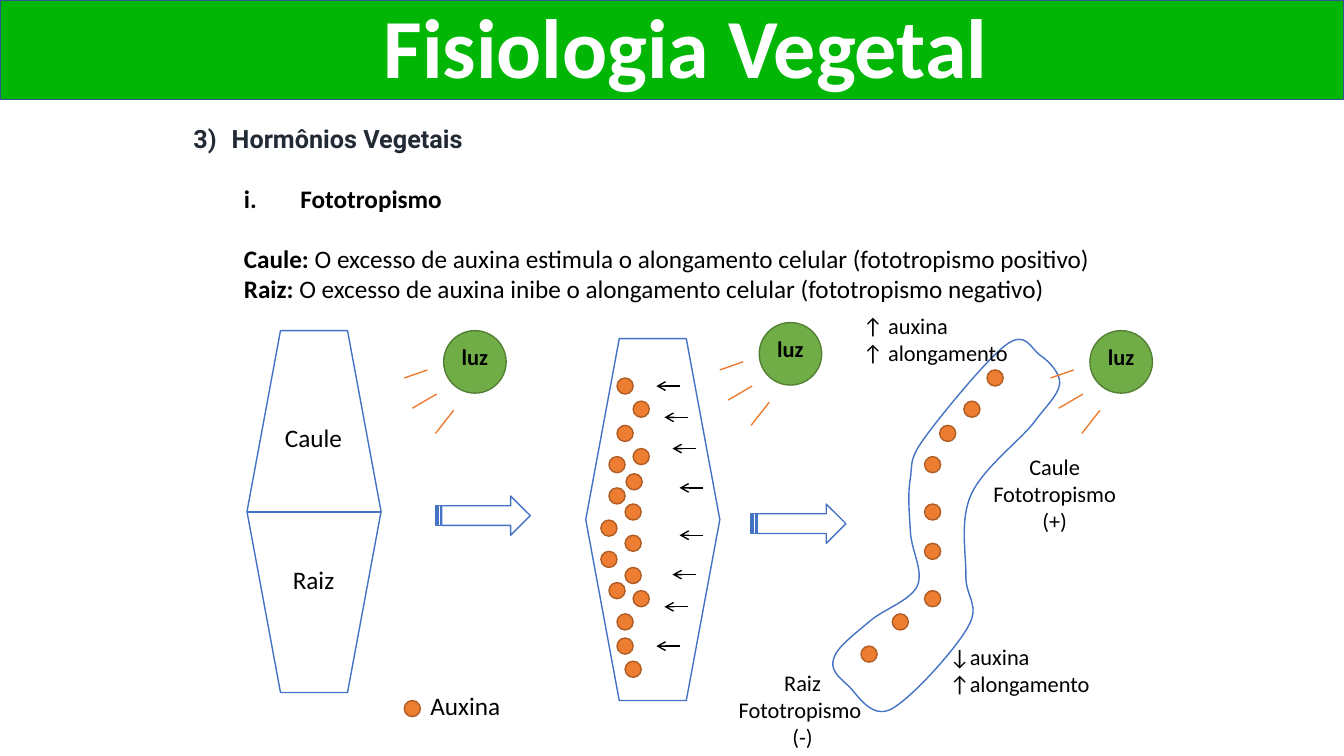
from dataclasses import dataclass

from lxml.etree import SubElement
from pptx import Presentation
from pptx.dml.color import RGBColor
from pptx.enum.shapes import MSO_CONNECTOR, MSO_SHAPE as Shape
from pptx.enum.text import MSO_ANCHOR as Anchor, MSO_AUTO_SIZE as AutoSize, PP_ALIGN as Align
from pptx.oxml.ns import qn
from pptx.util import Inches, Pt


@dataclass(frozen=True)
class Theme:
    font: str = "Calibri"
    heading_font: str = "Roboto"
    black: str = "000000"
    white: str = "FFFFFF"
    heading: str = "222A35"
    banner: str = "02B606"
    banner_edge: str = "325491"
    outline: str = "4472C4"
    lamp: str = "70AD47"
    lamp_edge: str = "538035"
    auxin: str = "ED7D31"
    auxin_edge: str = "AF5C24"
    title_size: int = 60
    body_size: int = 18
    label_size: int = 16


THEME = Theme()
DOT_SIZE = 0.16
LAMP_SIZE = 0.62
RAYS = [(-0.39, 0.47, -0.16, 0.39), (-0.31, 0.77, -0.07, 0.63), (-0.08, 1.02, 0.1, 0.79)]
FLOW_ARROWS = [(4.32, 4.92), (7.45, 5)]
STRAIGHT_DOTS = [
    (6.12, 3.75), (6.12, 4.22), (6.28, 3.98), (6.04, 4.53), (6.21, 4.7), (6.28, 4.45),
    (6.04, 4.84), (6.2, 5), (5.96, 5.16), (6.2, 5.31), (5.96, 5.47), (6.2, 5.63),
    (6.04, 5.78), (6.12, 6.09), (6.28, 5.86), (6.12, 6.33), (6.2, 6.56),
]
BENT_DOTS = [
    (9.56, 3.98), (9.32, 4.22), (9.17, 4.53), (9.79, 3.67), (8.54, 6.41),
    (8.85, 6.09), (9.17, 5.86), (9.17, 5.39), (9.17, 5),
]
AUXIN_ARROWS = [
    (6.51, 3.83), (6.59, 4.14), (6.67, 4.45), (6.74, 4.84),
    (6.74, 5.31), (6.67, 5.7), (6.59, 6.02), (6.51, 6.41),
]
BENT_START = (9.03, 5.28)
BENT_CURVES = [
    ((9.02, 5.1), (9, 4.9), (9.03, 4.74)),
    ((9.05, 4.58), (9.02, 4.55), (9.18, 4.33)),
    ((9.34, 4.11), (9.8, 3.55), (9.98, 3.42)),
    ((10.17, 3.28), (10.22, 3.45), (10.31, 3.52)),
    ((10.4, 3.58), (10.52, 3.7), (10.51, 3.81)),
    ((10.49, 3.93), (10.38, 4.02), (10.24, 4.21)),
    ((10.09, 4.39), (9.74, 4.66), (9.63, 4.91)),
    ((9.52, 5.16), (9.58, 5.48), (9.58, 5.7)),
    ((9.57, 5.92), (9.73, 6), (9.6, 6.22)),
    ((9.48, 6.44), (9.03, 6.94), (8.83, 7.04)),
    ((8.63, 7.13), (8.5, 6.88), (8.41, 6.8)),
    ((8.31, 6.71), (8.23, 6.64), (8.27, 6.53)),
    ((8.3, 6.42), (8.49, 6.28), (8.63, 6.16)),
    ((8.77, 6.04), (9.03, 5.96), (9.1, 5.81)),
    ((9.16, 5.66), (9.04, 5.46), BENT_START),
]


def paint(shape, fill, edge):
    shape.shadow.inherit = False
    shape.fill.solid()
    shape.fill.fore_color.rgb = RGBColor.from_string(fill)
    shape.line.color.rgb = RGBColor.from_string(edge)
    shape.line.width = Pt(1)


def add_figure(page, kind, left, top, width, height, fill, edge):
    lengths = map(Inches, (left, top, width, height))
    paint(page.shapes.add_shape(kind, *lengths), fill, edge)


def add_line(page, start_x, start_y, end_x, end_y, color, arrow=False):
    connector = page.shapes.add_connector(
        MSO_CONNECTOR.STRAIGHT, *map(Inches, (start_x, start_y, end_x, end_y)))
    connector.line.color.rgb = RGBColor.from_string(color)
    connector.line.width = Pt(1)
    properties = connector._element.spPr
    if arrow:
        SubElement(properties.find(qn("a:ln")), qn("a:tailEnd"), type="arrow")
    SubElement(properties, qn("a:effectLst"))


def style(font, size, color=THEME.black, bold=False, name=THEME.font):
    font.size, font.bold, font.name = Pt(size), bold, name
    font.color.rgb = RGBColor.from_string(color)


def add_text(page, left, top, width, height, text, size,
             align=Align.LEFT, color=THEME.black, bold=False, wrap=True):
    box = page.shapes.add_textbox(*map(Inches, (left, top, width, height)))
    frame = box.text_frame
    frame.word_wrap = wrap
    frame.auto_size = AutoSize.SHAPE_TO_FIT_TEXT
    frame.text = text
    for para in frame.paragraphs:
        para.alignment = align
        for span in para.runs:
            style(span.font, size, color, bold)
    return frame


def indent(para, margin, hanging, numbering=None, start=1):
    properties = para._p.get_or_add_pPr()
    properties.set("marL", str(Inches(margin)))
    properties.set("indent", str(-Inches(hanging)))
    if numbering:
        SubElement(properties, qn("a:buAutoNum"), type=numbering, startAt=str(start))


def add_definitions(page):
    box = page.shapes.add_textbox(*map(Inches, (1.82, 1.17, 9.61, 2.99)))
    frame = box.text_frame
    frame.word_wrap = True
    rows = [
        ("Hormônios Vegetais", "", 0),
        ("Fototropismo", "", 21.5),
        ("Caule: ", "O excesso de auxina estimula o alongamento celular (fototropismo positivo)", 21.5),
        ("Raiz: ", "O excesso de auxina inibe o alongamento celular (fototropismo negativo)", 0),
    ]
    for index, (term, meaning, gap) in enumerate(rows):
        para = frame.paragraphs[0] if index == 0 else frame.add_paragraph()
        para.alignment = Align.JUSTIFY
        para.space_before = Pt(gap)
        if index == 0:
            indent(para, 0.38, 0.38, "arabicParenR", 3)
        else:
            para.level = 1
            indent(para, 1.06, 0.56, "romanLcPeriod" if index == 1 else None)
        for words, bold in ((term, True), (meaning, False)):
            if words:
                span = para.add_run()
                span.text = words
                style(span.font, THEME.body_size, bold=bold)
    style(frame.paragraphs[0].runs[0].font, THEME.body_size,
          THEME.heading, True, THEME.heading_font)


def add_hexagon(page, left, top):
    add_figure(page, Shape.HEXAGON, left, top, 1.33, 3.59, THEME.white, THEME.outline)


def add_auxins(page, places):
    for left, top in places:
        add_figure(page, Shape.OVAL, left, top, DOT_SIZE, DOT_SIZE,
                   THEME.auxin, THEME.auxin_edge)


def add_lamp(page, left, top):
    add_figure(page, Shape.OVAL, left, top, LAMP_SIZE, LAMP_SIZE, THEME.lamp, THEME.lamp_edge)
    for start_x, start_y, end_x, end_y in RAYS:
        add_line(page, left + start_x, top + start_y, left + end_x, top + end_y, THEME.auxin)
    add_text(page, left + 0.08, top + 0.08, 0.47, 0.37, "luz",
             THEME.label_size, bold=True, wrap=False)


def add_bent_plant(page):
    """Draw the outline through all control points, then join each three into a curve."""
    builder = page.shapes.build_freeform(*map(Inches, BENT_START))
    points = [(Inches(x), Inches(y)) for curve in BENT_CURVES for x, y in curve]
    builder.add_line_segments(points, close=True)
    plant = builder.convert_to_shape()
    segments = list(plant._element.iter(qn("a:lnTo")))
    for first in range(0, 3 * len(BENT_CURVES), 3):
        trio = segments[first:first + 3]
        outline = trio[0].getparent()
        curve = SubElement(outline, qn("a:cubicBezTo"))
        outline.replace(trio[0], curve)
        for segment in trio:
            curve.append(segment[0])
        for segment in trio[1:]:
            outline.remove(segment)
    paint(plant, THEME.white, THEME.outline)


def add_label(page, left, top, width, height, text, align=Align.LEFT):
    add_text(page, left, top, width, height, text, THEME.label_size, align)


def main():
    deck = Presentation()
    deck.slide_width, deck.slide_height = Inches(13.33), Inches(7.5)
    page = deck.slides.add_slide(deck.slide_layouts[6])

    add_definitions(page)
    add_hexagon(page, 2.45, 3.28)
    add_line(page, 2.45, 5.08, 3.78, 5.08, THEME.outline)
    for top, part in ((4.14, "Caule"), (5.55, "Raiz")):
        add_text(page, 2.68, top, 0.86, 0.4, part, THEME.body_size, Align.CENTER)
    add_lamp(page, 4.4, 3.28)

    add_hexagon(page, 5.81, 3.36)
    for tip, level in AUXIN_ARROWS:
        add_line(page, tip + 0.23, level, tip, level, THEME.black, arrow=True)
    add_auxins(page, STRAIGHT_DOTS)
    for left, top in FLOW_ARROWS:
        add_figure(page, Shape.STRIPED_RIGHT_ARROW, left, top, 0.94, 0.39,
                   THEME.white, THEME.outline)
    add_lamp(page, 7.53, 3.2)

    add_bent_plant(page)
    add_auxins(page, BENT_DOTS)
    add_lamp(page, 10.81, 3.28)
    add_label(page, 9.64, 4.45, 1.64, 0.91, "Caule\nFototropismo (+)", Align.CENTER)
    add_label(page, 9.32, 6.33, 2.03, 0.64, "↓auxina\n↑alongamento")
    add_label(page, 8.46, 3.05, 2.03, 0.64, "↑ auxina\n↑ alongamento")

    add_auxins(page, [(4.01, 6.95)])
    add_text(page, 4.17, 6.8, 1.33, 0.4, "Auxina", THEME.body_size)
    add_label(page, 7.14, 6.59, 1.64, 0.91, "Raiz\nFototropismo \n(-)", Align.CENTER)

    add_figure(page, Shape.RECTANGLE, 0, 0, 13.33, 0.99, THEME.banner, THEME.banner_edge)
    title = add_text(page, 0.63, 0.02, 12.34, 0.97, "Fisiologia Vegetal",
                     THEME.title_size, Align.CENTER, THEME.white, bold=True)
    title.auto_size = AutoSize.NONE
    title.vertical_anchor = Anchor.BOTTOM
    title.paragraphs[0].line_spacing = 0.8
    deck.save("out.pptx")


if __name__ == "__main__":
    main()
